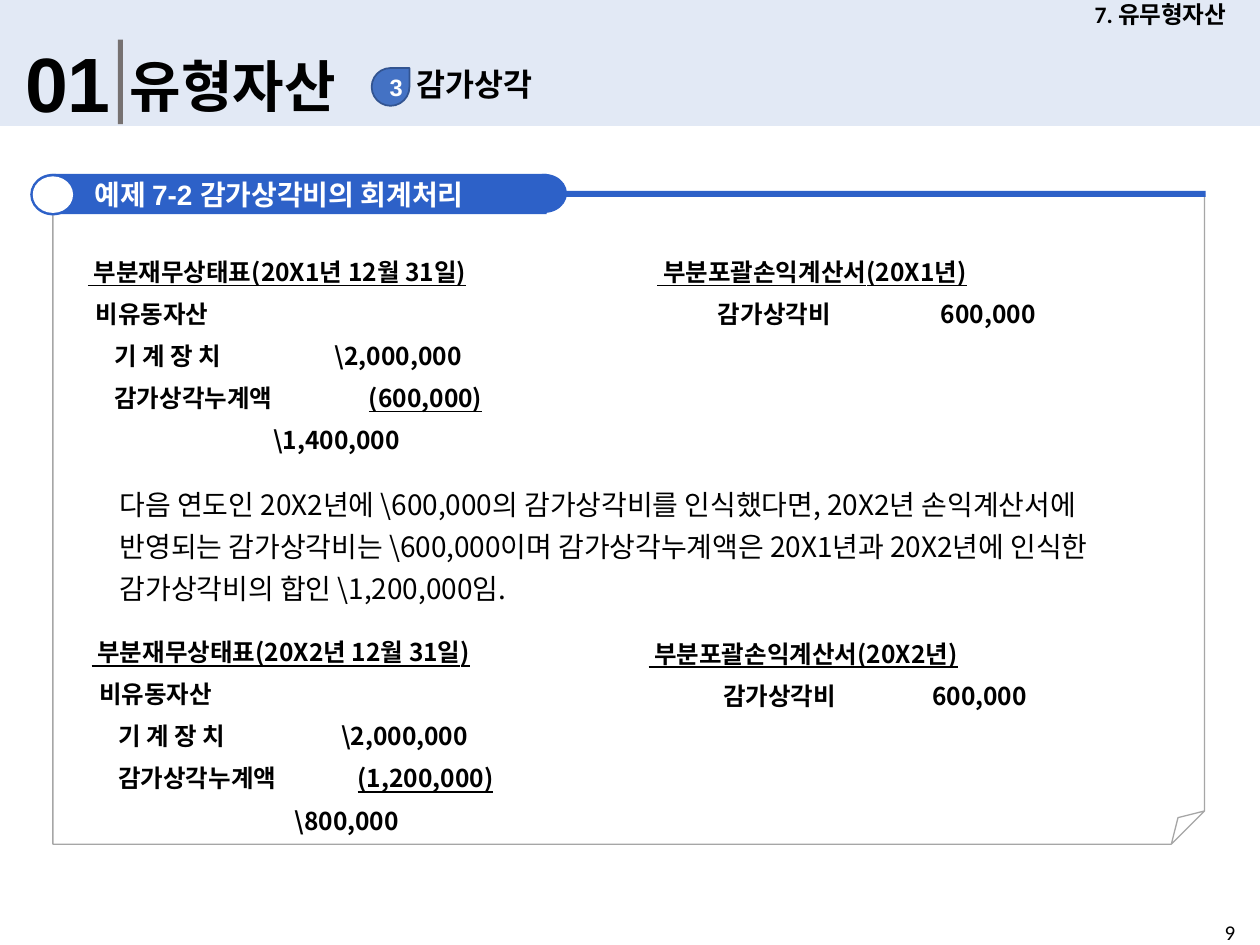
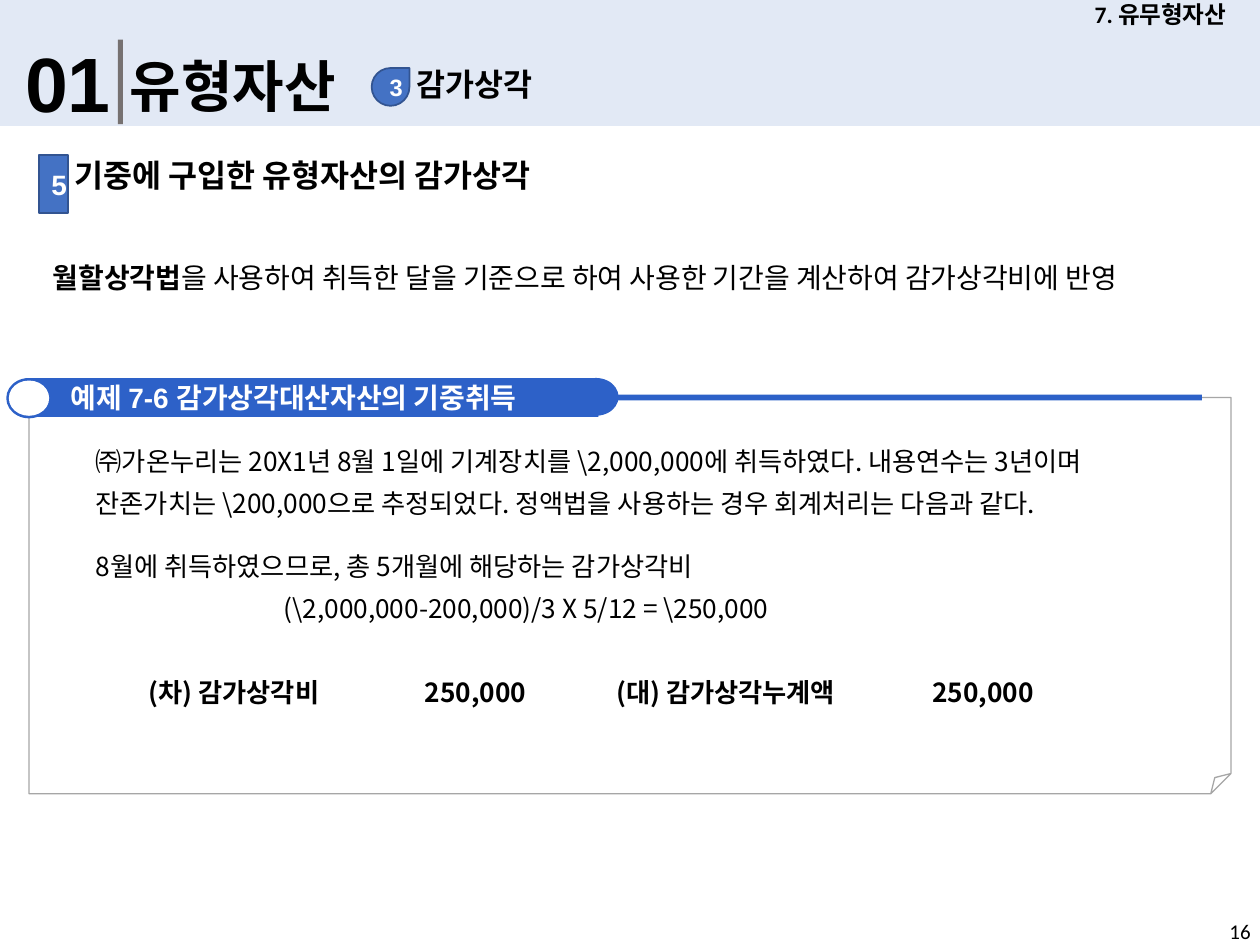
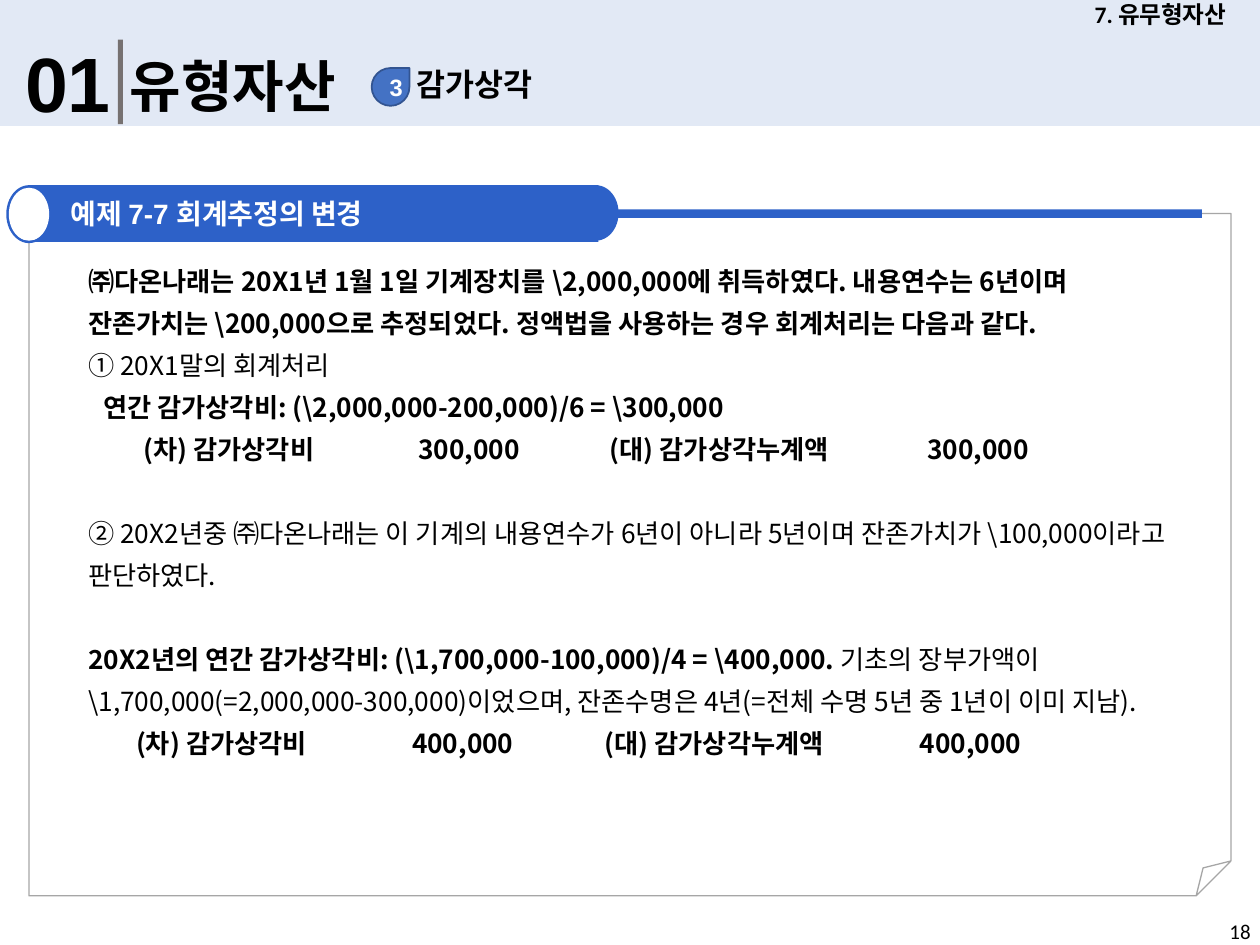
from dataclasses import dataclass
from typing import NamedTuple

from lxml import etree
from pptx import Presentation
from pptx import util as u
from pptx.dml.color import RGBColor
from pptx.enum import shapes, text
from pptx.oxml import ns

# The grid: 100 columns by 75 rows of square cells
COLS, ROWS = 100, 75
CELL = u.Inches(0.1)

# Colours and fonts
BLACK = RGBColor(0, 0, 0)
WHITE = RGBColor(255, 255, 255)
SKY = RGBColor(0xDA, 0xE3, 0xF3)
GRAY = RGBColor(0x76, 0x71, 0x71)
EDGE = RGBColor(0xA6, 0xA6, 0xA6)
BLUE = RGBColor(0x44, 0x72, 0xC4)
NAVY = RGBColor(0x32, 0x54, 0x91)
ROYAL = RGBColor(0x2D, 0x61, 0xC8)
ARIAL, CALI, NOTO = "Arial", "Calibri", "Noto Sans CJK KR"

KIND = shapes.MSO_SHAPE
MID = text.MSO_ANCHOR.MIDDLE
MAIN = text.PP_ALIGN.CENTER
PAD = (1, 0.5, 1, 0.5)
WIDE = (1.1, 0.5, 1.1, 0.5)
SLIM = (0.8, 0.4, 0.8, 0.4)
LEAD = u.Pt(24)


class Box(NamedTuple):
    left: float
    top: float
    wide: float
    high: float


class Run(NamedTuple):
    words: str
    size: float
    face: str = NOTO
    bold: bool = False
    line: bool = False
    color: RGBColor = BLACK


@dataclass
class Para:
    runs: list[Run]
    tabs: tuple[float, ...] = ()    # columns from the text edge
    gap: float = 0                  # points before
    lead: int | None = LEAD
    align: int | None = None


@dataclass
class Panel:
    bar: Box
    wide: float
    rail: float
    foot: float
    number: str
    title: str


def cell(n: float) -> int:
    return round(n * CELL)


# Text
def write(shape, paras: list[Para], pad=PAD, anchor=text.MSO_ANCHOR.TOP) -> None:
    frame = shape.text_frame
    form = dict(zip(("margin_left", "margin_top", "margin_right", "margin_bottom"),
                    map(cell, pad)))
    form |= {"word_wrap": True, "vertical_anchor": anchor}
    for key, value in form.items():
        setattr(frame, key, value)
    for i, item in enumerate(paras):
        para = frame.add_paragraph() if i else frame.paragraphs[0]
        if item.tabs:
            props = para._p.get_or_add_pPr()
            stops = etree.SubElement(props, ns.qn("a:tabLst"))
            for stop in item.tabs:
                etree.SubElement(stops, ns.qn("a:tab"), pos=str(cell(stop)), algn="l")
        form = {"line_spacing": item.lead, "alignment": item.align,
                "space_before": u.Pt(item.gap)}
        for key, value in form.items():
            setattr(para, key, value)
        for part in item.runs:
            run = para.add_run()
            run.text = part.words
            form = {"size": u.Pt(part.size), "name": part.face,
                    "bold": part.bold, "underline": part.line}
            for key, value in form.items():
                setattr(run.font, key, value)
            run.font.color.rgb = part.color
            east = etree.Element(ns.qn("a:ea"), typeface=NOTO)
            run._r.rPr.find(ns.qn("a:latin")).addnext(east)


def label(slide, box: Box, paras: list[Para], pad=PAD,
          anchor=text.MSO_ANCHOR.TOP) -> None:
    write(slide.shapes.add_textbox(*map(cell, box)), paras, pad, anchor)


def plain(words: str, size: float, face: str = CALI, bold: bool = True,
          align=None, color: RGBColor = BLACK) -> list[Para]:
    return [Para([Run(words, size, face, bold, color=color)], lead=None, align=align)]


# Shapes
def draw(slide, kind, box: Box, fill=None, line=None, weight: float = 1):
    shape = slide.shapes.add_shape(kind, *map(cell, box))
    shape.shadow.inherit = False
    if fill is None:
        shape.fill.background()
    else:
        shape.fill.solid()
        shape.fill.fore_color.rgb = fill
    if line is None:
        shape.line.fill.background()
    else:
        shape.line.color.rgb = line
        shape.line.width = u.Pt(weight)
    return shape


def badge(slide, kind, box: Box, words: str, size: float) -> None:
    shape = draw(slide, kind, box, BLUE, NAVY)
    write(shape, plain(words, size, ARIAL, align=MAIN, color=WHITE), anchor=MID)


# Parts shared by every slide
def start(deck, page: str, spot: tuple[float, float]):
    slide = deck.slides.add_slide(deck.slide_layouts[6])
    band = draw(slide, KIND.RECTANGLE, Box(0, 0, COLS, 10), SKY)
    tint = band._element.spPr.find(ns.qn("a:solidFill"))[0]
    etree.SubElement(tint, ns.qn("a:alpha"), val="76000")
    label(slide, Box(1, 2.3, 9.1, 8.4), plain("01", 44, ARIAL))
    draw(slide, KIND.RECTANGLE, Box(9.35, 3.15, 0.4, 6.7), GRAY)
    label(slide, Box(9.3, 3.6, 56.1, 6.4), plain("유형자산", 32))
    label(slide, Box(32.1, 4.7, 30.9, 4), plain("감가상각", 18))
    badge(slide, KIND.TEAR, Box(29.5, 5.4, 3, 3), "3", 13.5)
    label(slide, Box(84.2, 0, 15.8, 2.3), plain("7. 유무형자산", 13.5, align=MAIN),
          anchor=MID)
    left, top = spot
    label(slide, Box(left, top, COLS - left, ROWS - top),
          plain(page, 12, bold=False), (1, 0.5, 0, 0))
    return slide


def panel(slide, item: Panel) -> None:
    left, top, wide, high = item.bar
    axis = top + high / 2
    thick = high * 0.15
    cap = Box(left - 1.7, top, 3.6, high + 0.1)
    page = draw(slide, KIND.FOLDED_CORNER,
                Box(left + 0.1, axis, item.wide, item.foot - axis),
                line=EDGE, weight=0.75)
    fold = page._element.spPr.find(ns.qn("a:prstGeom")).get_or_add_avLst()
    etree.SubElement(fold, ns.qn("a:gd"), name="adj", fmla="val 5100")
    draw(slide, KIND.RECTANGLE, Box(left + 0.2, axis - thick / 2, item.rail, thick), ROYAL)
    draw(slide, KIND.OVAL, cap, ROYAL)
    draw(slide, KIND.OVAL, Box(left + wide - 2, top, 3.6, high - 0.1), ROYAL)
    bar = draw(slide, KIND.RECTANGLE, item.bar, ROYAL)
    parts = (("예제 ", CALI), (item.number + " ", ARIAL), (item.title, CALI))
    runs = [Run(words, 16, face, True, color=WHITE) for words, face in parts]
    write(bar, [Para(runs, lead=None, align=text.PP_ALIGN.LEFT)], (3.4, 0.5, 1, 0.5), MID)
    draw(slide, KIND.OVAL, Box(cap.left + 0.2, top + 0.2, 3.2, high - 0.3), WHITE)


# Accounting rows
def row(words: str, *tabs: float, under: str = "") -> Para:
    runs = [Run(words, 14, bold=True)] if words else []
    if under:
        runs.append(Run(under, 14, bold=True, line=True))
    return Para(runs, tabs)


def sheet(slide, spot: tuple[float, float], year: str, cost: float,
          rule: float, sunk: str, mark: float, net: str, last: float) -> None:
    label(slide, Box(*spot, 50, 17.8), [
        row("", 35, under=f" 부분재무상태표({year}년 12월 31일)\t"),
        row("\t비유동자산", 0.6),
        row("\t기 계 장 치\t\\2,000,000", 2.1, cost),
        row("\t감가상각누계액\t", 2.1, rule, mark, under=f"\t({sunk})"),
        row(f"\t\\{net}", last)])


def income(slide, spot: tuple[float, float], year: str, name: float) -> None:
    label(slide, Box(*spot, 48, 7.7), [
        row("", 27.4, under=f" 부분포괄손익계산서({year}년)\t"),
        row("\t감가상각비\t600,000", name, 22.5)])


def body(words: str, gap: float = 0, bold: bool = False, tabs=()) -> Para:
    return Para([Run(words, 15, bold=bold)], tabs, gap)


def entry(total: str, *tabs: float, gap: float = 0) -> Para:
    return body(f"\t(차) 감가상각비\t{total}\t(대) 감가상각누계액\t{total}", gap, True, tabs)


def first(deck) -> None:
    slide = start(deck, "9", (96.2, 72.5))
    panel(slide, Panel(Box(4.1, 13.8, 39.3, 3.2), 91.4, 91.4, 67,
                       "7-2", "감가상각비의 회계처리"))
    label(slide, Box(8.4, 37.5, 85.1, 11), [Para([Run(
        "다음 연도인 20X2년에 \\600,000의 감가상각비를 인식했다면, 20X2년 손익계산서에 "
        "반영되는 감가상각비는 \\600,000이며 감가상각누계액은 20X1년과 20X2년에 인식한 "
        "감가상각비의 합인 \\1,200,000임.", 16)])], WIDE)
    sheet(slide, (6, 18.9), "20X1", 19.6, 19.1, "600,000", 22.3, "1,400,000", 14.7)
    income(slide, (51.2, 18.9), "20X1", 4.8)
    sheet(slide, (6.3, 49.1), "20X2", 19.8, 19, "1,200,000", 21.1, "800,000", 16.1)
    income(slide, (50.5, 49.2), "20X2", 5.9)


def second(deck) -> None:
    slide = start(deck, "16", (96.6, 72.4))
    label(slide, Box(3.4, 17, 92, 9.3), [Para([
        Run("월할상각법", 16, bold=True),
        Run("을 사용하여 취득한 달을 기준으로 하여 사용한 기간을 계산하여 감가상각비에 반영", 16),
    ])], SLIM, MID)
    label(slide, Box(5.1, 12, 55.2, 5), plain("기중에 구입한 유형자산의 감가상각", 18, NOTO), SLIM)
    badge(slide, KIND.RECTANGLE, Box(3.1, 12.3, 2.3, 4.6), "5", 16)
    panel(slide, Panel(Box(2.2, 30, 45.3, 3.1), 95.4, 93, 63,
                       "7-6", "감가상각대산자산의 기중취득"))
    label(slide, Box(6.5, 34, 87.1, 23.3), [
        body("㈜가온누리는 20X1년 8월 1일에 기계장치를 \\2,000,000에 취득하였다. 내용연수는 "
             "3년이며 잔존가치는 \\200,000으로 추정되었다. 정액법을 사용하는 경우 회계처리는 "
             "다음과 같다."),
        body("8월에 취득하였으므로, 총 5개월에 해당하는 감가상각비", 12),
        body("\t(\\2,000,000-200,000)/3 X 5/12 = \\250,000", tabs=(14.9,)),
        entry("250,000", 4.2, 26.1, 41.3, 66.4, gap=24)], WIDE)


def third(deck) -> None:
    slide = start(deck, "18", (96.6, 72.4))
    panel(slide, Panel(Box(2.2, 14.7, 45.3, 4.5), 95.4, 93, 71.1,
                       "7-7", "회계추정의 변경"))
    label(slide, Box(5.9, 19.7, 88.9, 51.1), [
        body("㈜다온나래는 20X1년 1월 1일 기계장치를 \\2,000,000에 취득하였다. 내용연수는 "
             "6년이며 잔존가치는 \\200,000으로 추정되었다. 정액법을 사용하는 경우 회계처리는 "
             "다음과 같다.", bold=True),
        body("① 20X1말의 회계처리"),
        body("\t연간 감가상각비: (\\2,000,000-200,000)/6 = \\300,000", bold=True, tabs=(1.2,)),
        entry("300,000", 4.4, 26.2, 41.4, 66.6),
        body("② 20X2년중 ㈜다온나래는 이 기계의 내용연수가 6년이 아니라 5년이며 잔존가치가 "
             "\\100,000이라고 판단하였다.", 24),
        Para([Run("20X2년의 연간 감가상각비: (\\1,700,000-100,000)/4 = \\400,000. ", 15, bold=True),
              Run("기초의 장부가액이 \\1,700,000(=2,000,000-300,000)이었으며, 잔존수명은 "
                  "4년(=전체 수명 5년 중 1년이 이미 지남).", 15)], gap=24),
        entry("400,000", 3.8, 25.7, 41, 66)], WIDE)


def main() -> None:
    deck = Presentation()
    deck.slide_width, deck.slide_height = COLS * CELL, ROWS * CELL
    for build in (first, second, third):
        build(deck)
    deck.save("out.pptx")


if __name__ == "__main__":
    main()
